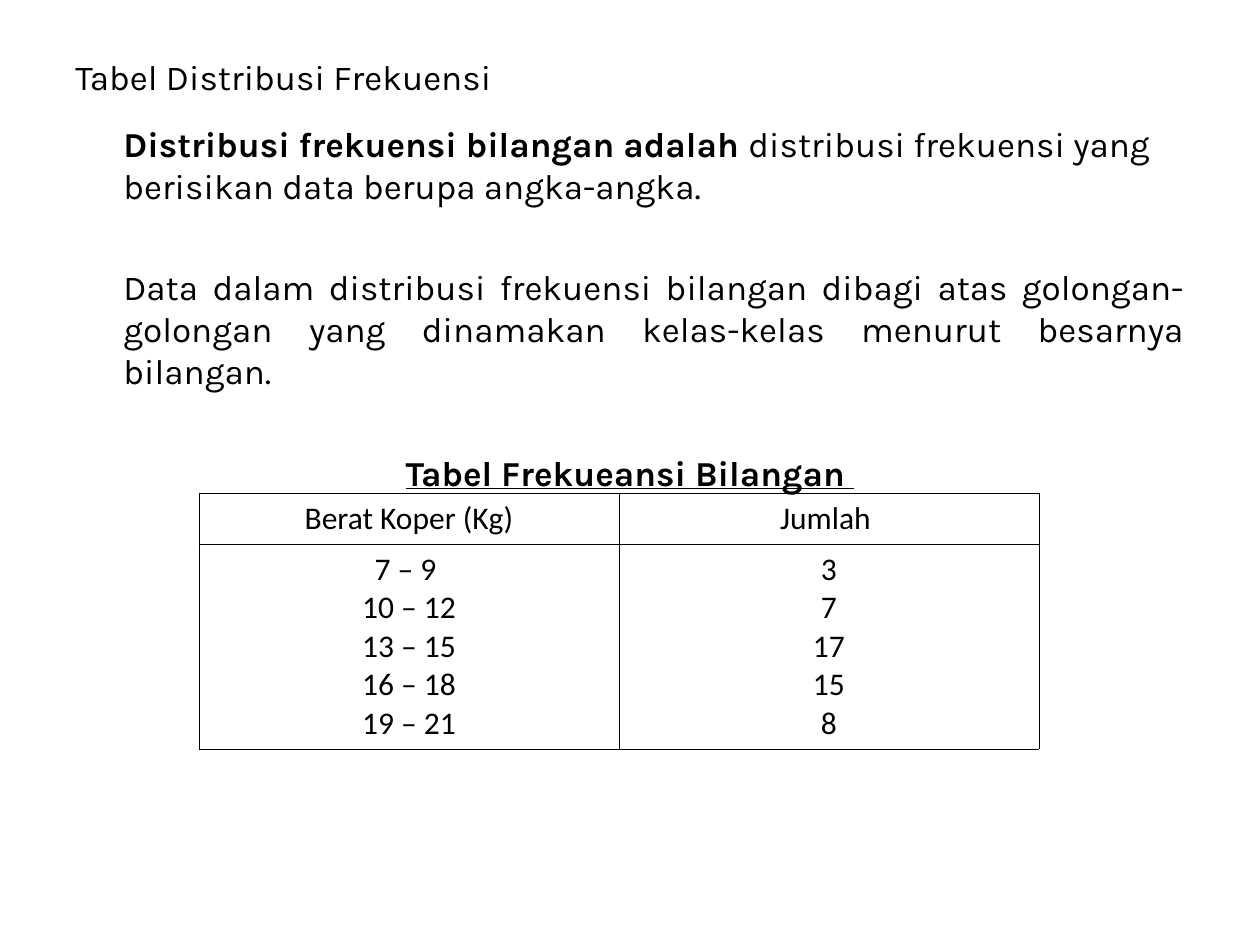
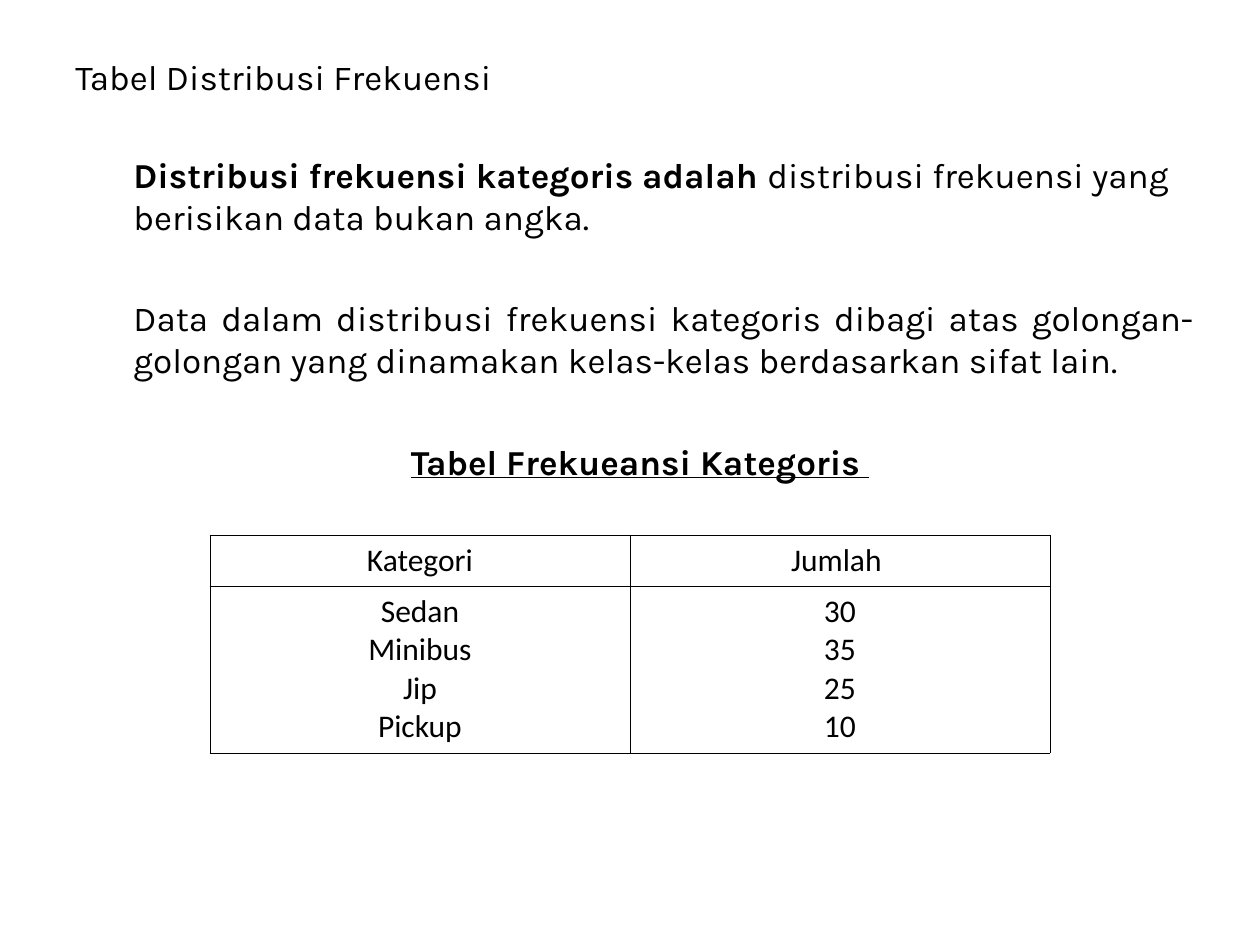
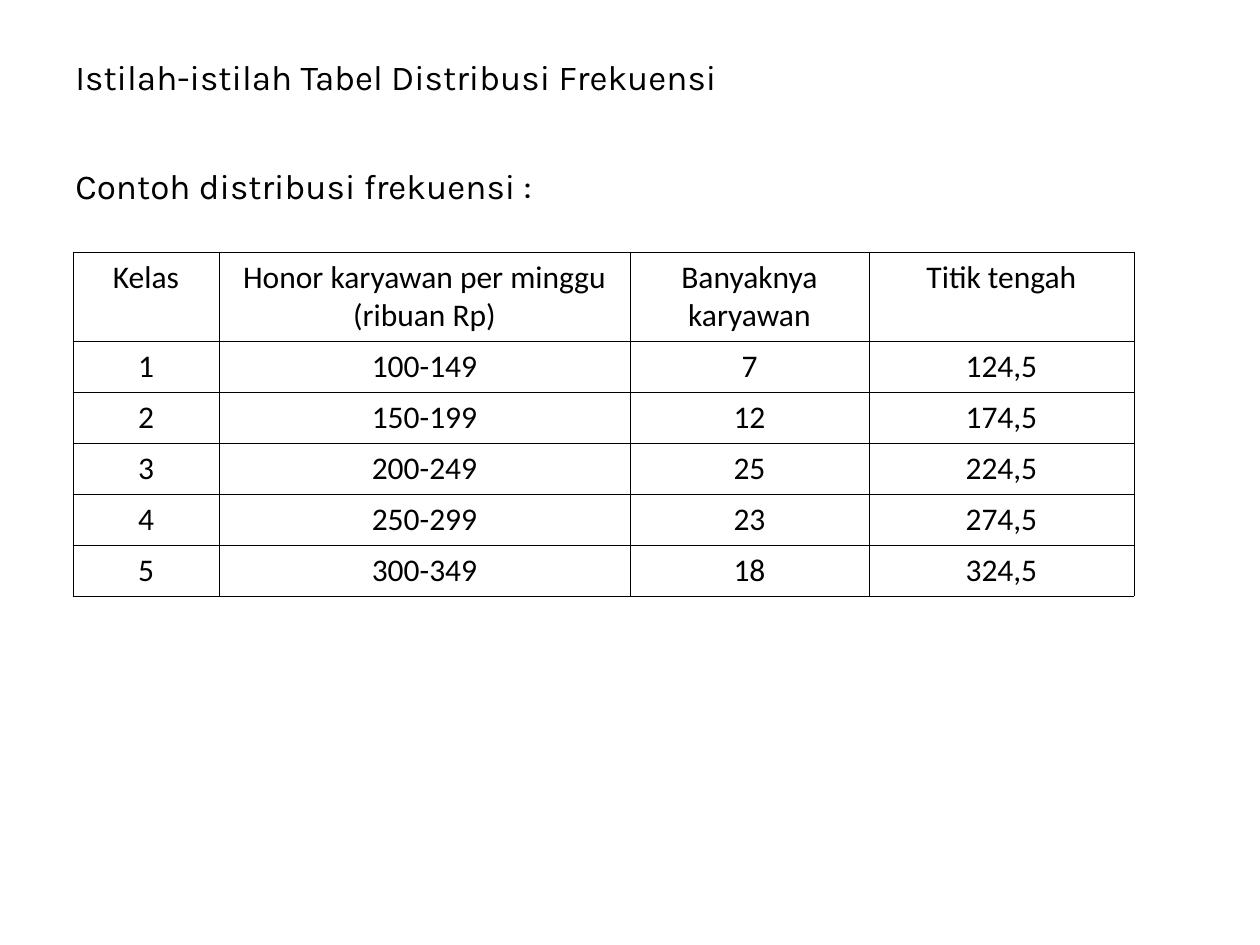
from typing import NamedTuple

from lxml import etree
from pptx import Presentation
from pptx import util as u
from pptx.dml.color import RGBColor
from pptx.enum import text
from pptx.oxml import ns

PX = u.Inches(1) / 126
BLACK = RGBColor(0, 0, 0)
KARLA, CALIBRI = "Karla", "Calibri"
INDENT = 48
GAP = 34
ALIGN = text.PP_ALIGN


class Box(NamedTuple):
    left: int
    top: int
    width: int
    height: int


class Para(NamedTuple):
    words: str
    lead: str = ""  # bold opening words
    align: ALIGN = ALIGN.LEFT
    space: int = GAP
    indent: int = INDENT
    under: bool = False


class Grid(NamedTuple):
    left: int
    top: int
    cols: list[int]
    rows: list[int]
    cells: list[list[str]]


class Page(NamedTuple):
    title: str
    box: Box
    paras: list[Para]
    grid: Grid


TITLE = Box(63, 38, 1134, 78)
HEAD = "Tabel Distribusi Frekuensi"


def opener(lead: str, words: str) -> Para:
    return Para(words, lead, space=5)


def detail(words: str) -> Para:
    return Para(words, align=ALIGN.JUSTIFY)


def caption(words: str) -> Para:
    return Para("", words, ALIGN.CENTER, indent=0, under=True)


def stack(*items: str) -> str:
    return "\n".join(items)


PAGES = [
    Page(
        HEAD,
        Box(63, 116, 1134, 665),
        [
            opener("Distribusi frekuensi bilangan adalah ",
                   "distribusi frekuensi yang berisikan data berupa angka-angka."),
            detail("Data dalam distribusi frekuensi bilangan dibagi atas golongan-golongan "
                   "yang dinamakan kelas-kelas menurut besarnya bilangan."),
            caption("Tabel Frekueansi Bilangan "),
        ],
        Grid(199, 493, [420] * 2, [51, 205], [
            ["Berat Koper (Kg)", "Jumlah "],
            [stack("7 – 9 ", "10 – 12", "13 – 15", "16 – 18", "19 – 21"),
             stack("3", "7", "17", "15", "8")],
        ]),
    ),
    Page(
        HEAD,
        Box(73, 147, 1134, 665),
        [
            opener("Distribusi frekuensi kategoris adalah ",
                   "distribusi frekuensi yang berisikan data bukan angka."),
            detail("Data dalam distribusi frekuensi kategoris dibagi atas golongan-golongan "
                   "yang dinamakan kelas-kelas berdasarkan sifat lain."),
            caption("Tabel Frekueansi Kategoris "),
        ],
        Grid(210, 535, [420] * 2, [51, 167], [
            ["Kategori", "Jumlah "],
            [stack("Sedan", "Minibus", "Jip", "Pickup"),
             stack("30", "35", "25", "10")],
        ]),
    ),
    Page(
        "Istilah-istilah " + HEAD,
        Box(63, 158, 1134, 624),
        [Para("Contoh distribusi frekuensi :", space=5, indent=0)],
        Grid(73, 252, [146, 411, 239, 265], [89] + [51] * 5, [
            ["Kelas", "Honor karyawan per minggu (ribuan Rp)",
             "Banyaknya karyawan", "Titik tengah"],
            ["1", "100-149", "7", "124,5"],
            ["2", "150-199", "12", "174,5"],
            ["3", "200-249", "25", "224,5"],
            ["4", "250-299", "23", "274,5"],
            ["5", "300-349", "18", "324,5"],
        ]),
    ),
]


def emu(px: int) -> u.Emu:
    return u.Emu(round(px * PX))


def style(para, face: str, size: int, align: ALIGN) -> None:
    para.alignment = align
    font = para.font
    font.name, font.size = face, u.Pt(size)
    font.color.rgb = BLACK


def add_text(slide, box: Box, paras: list[Para], anchor=text.MSO_ANCHOR.TOP) -> None:
    frame = slide.shapes.add_textbox(*map(emu, box)).text_frame
    frame.word_wrap = True
    frame.vertical_anchor = anchor
    for i, item in enumerate(paras):
        para = frame.add_paragraph() if i else frame.paragraphs[0]
        style(para, KARLA, 20, item.align)
        para.space_before = u.Pt(item.space)
        if item.indent:
            para._p.get_or_add_pPr().set("marL", str(emu(item.indent)))
        for words, bold in ((item.lead, True), (item.words, False)):
            if words:
                run = para.add_run()
                run.text = words
                run.font.bold = bold
                run.font.underline = item.under


def add_edges(cell) -> None:
    """Draw a thin black line on each side of the cell."""
    props = cell._tc.get_or_add_tcPr()
    for side in ("lnL", "lnR", "lnT", "lnB"):
        line = etree.SubElement(props, ns.qn(f"a:{side}"), w=str(u.Pt(0.45)))
        fill = etree.SubElement(line, ns.qn("a:solidFill"))
        etree.SubElement(fill, ns.qn("a:srgbClr"), val=str(BLACK))


def add_grid(slide, grid: Grid) -> None:
    box = Box(grid.left, grid.top, sum(grid.cols), sum(grid.rows))
    table = slide.shapes.add_table(
        len(grid.rows), len(grid.cols), *map(emu, box)).table
    table.first_row = table.horz_banding = False
    for col, width in zip(table.columns, grid.cols):
        col.width = emu(width)
    for row, height, words in zip(table.rows, grid.rows, grid.cells):
        row.height = emu(height)
        for cell, word in zip(row.cells, words):
            cell.text = word
            add_edges(cell)
            cell.fill.background()
            for para in cell.text_frame.paragraphs:
                style(para, CALIBRI, 18, ALIGN.CENTER)


def main() -> None:
    deck = Presentation()
    deck.slide_width, deck.slide_height = emu(1260), emu(945)
    for page in PAGES:
        slide = deck.slides.add_slide(deck.slide_layouts[6])
        title = Para(page.title, space=0, indent=0)
        add_text(slide, TITLE, [title], text.MSO_ANCHOR.MIDDLE)
        add_text(slide, page.box, page.paras)
        add_grid(slide, page.grid)
    deck.save("out.pptx")


if __name__ == "__main__":
    main()
